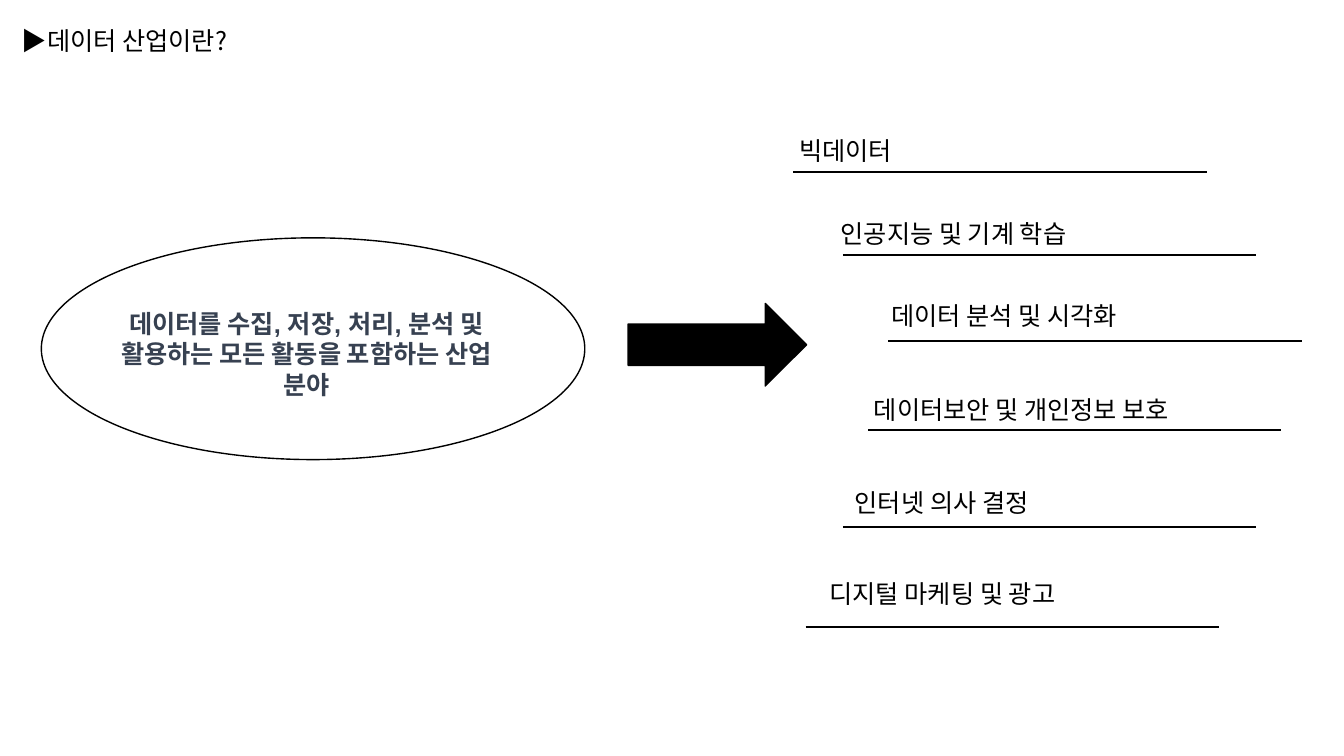
from lxml.etree import SubElement as Sub
from pptx import Presentation as Deck
from pptx.dml.color import RGBColor as Rgb
from pptx.enum.shapes import MSO_CONNECTOR as Conn, MSO_SHAPE as Kind
from pptx.enum.text import PP_ALIGN as Align
from pptx.oxml.ns import qn
from pptx.util import Inches, Pt

COLORS = {"ink": "000000", "paper": "FFFFFF", "slate": "374151"}
FIELDS = [
    ("빅데이터", 78.3, 12.9, 78.7, 17.1),
    ("인공지능 및 기계 학습", 82.4, 21.2, 83.6, 25.3),
    ("데이터 분석 및 시각화", 87.4, 29.3, 88.1, 33.8),
    ("데이터보안 및 개인정보 보호", 85.7, 38.6, 86.1, 42.7),
    ("인터넷 의사 결정", 83.8, 47.9, 83.6, 52.3),
    ("디지털 마케팅 및 광고", 81.3, 56.9, 79.9, 62.2),
]


class Board:
    """Draws on one slide, with lengths in grid cells a tenth of an inch wide and high."""

    font = "Noto Sans CJK KR"
    size = Pt(18)

    def __init__(self, deck):
        self.slide = deck.slides.add_slide(deck.slide_layouts[6])
        self.shapes = self.slide.shapes

    def grid(self, *cells):
        return [Inches(cell / 10) for cell in cells]

    def color(self, name):
        return Rgb.from_string(COLORS[name])

    def text(self, words, x, y, w, h=4, color="ink", font=font, bold=False, align=Align.LEFT):
        frame = self.shapes.add_textbox(*self.grid(x, y, w, h)).text_frame
        frame.word_wrap = True
        para = frame.paragraphs[0]
        para.text = words
        para.alignment = align
        style = para.font
        style.size, style.bold, style.name = self.size, bold, font
        style.color.rgb = self.color(color)
        Sub(para._p.pPr.find(qn("a:defRPr")), qn("a:ea"), typeface=self.font)

    def shape(self, kind, x, y, w, h, fill):
        shape = self.shapes.add_shape(kind, *self.grid(x, y, w, h))
        shape.shadow.inherit = False
        shape.fill.solid()
        shape.fill.fore_color.rgb = self.color(fill)
        shape.line.color.rgb = self.color("ink")
        shape.line.width = Pt(1)

    def rule(self, x, y, w):
        line = self.shapes.add_connector(Conn.STRAIGHT, *self.grid(x, y, x + w, y))
        line.line.color.rgb = self.color("ink")
        line.line.width = Pt(1.5)
        Sub(line._element.spPr, qn("a:effectLst"))


def main():
    deck = Deck()
    deck.slide_width, deck.slide_height = Inches(13.33), Inches(7.5)
    board = Board(deck)
    board.text("▶데이터 산업이란?", 1.2, 2, 63.4)
    board.shape(Kind.OVAL, 4.1, 23.6, 53.9, 22, "paper")
    board.text(
        "데이터를 수집, 저장, 처리, 분석 및 활용하는 모든 활동을 포함하는 산업 분야",
        10.1, 30.1, 40.6, 10.1, "slate", "Arial", True, Align.CENTER,
    )
    board.shape(Kind.RIGHT_ARROW, 62.3, 30.1, 17.7, 8.2, "ink")
    for words, x, y, start, level in FIELDS:
        board.rule(start, level, 41)
        board.text(words, x, y, 41)
    deck.save("out.pptx")


if __name__ == "__main__":
    main()
